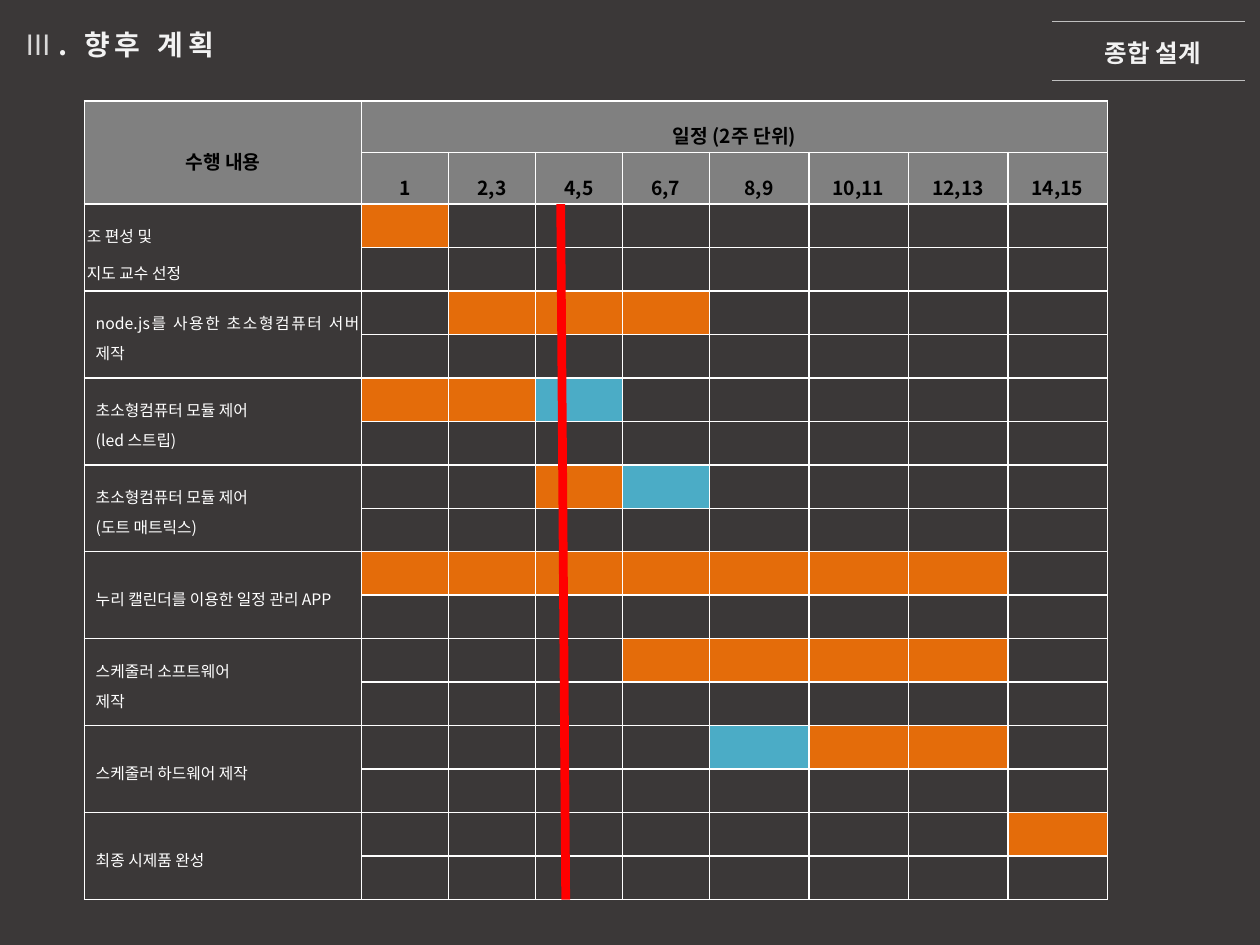
from lxml.etree import SubElement as Sub
from pptx import Presentation
from pptx.dml.color import RGBColor
from pptx.enum.shapes import MSO_CONNECTOR as Conn
from pptx.enum.text import MSO_ANCHOR as Anchor, MSO_AUTO_SIZE as Fit, PP_ALIGN as Align
from pptx.oxml.ns import qn
from pptx.util import Inches, Pt

FONT = "Noto Sans CJK KR"
DONE, PLAN = "E46C0A", "4BACC6"
WEEKS = ["1", "2,3", "4,5", "6,7", "8,9", "10,11", "12,13", "14,15"]
TASKS = [
    ("조 편성 및\n지도 교수 선정", {1: DONE}),
    ("node.js를 사용한 초소형컴퓨터 서버 제작", {2: DONE, 3: DONE, 4: DONE}),
    ("초소형컴퓨터 모듈 제어\n(led 스트립)", {1: DONE, 2: DONE, 3: PLAN}),
    ("초소형컴퓨터 모듈 제어\n(도트 매트릭스)", {3: DONE, 4: PLAN}),
    ("누리 캘린더를 이용한 일정 관리 APP", {col: DONE for col in range(1, 8)}),
    ("스케줄러 소프트웨어\n제작", {col: DONE for col in range(4, 8)}),
    ("스케줄러 하드웨어 제작", {5: PLAN, 6: DONE, 7: DONE}),
    ("최종 시제품 완성", {8: DONE}),
]


def color(code):
    return RGBColor.from_string(code)


def style(run, size, code, bold=False):
    font = run.font
    font.size, font.bold, font.name = Pt(size), bold, FONT
    font.color.rgb = color(code)
    Sub(run._r.get_or_add_rPr(), qn("a:ea"), typeface=FONT)


def add_line(shapes, x1, y1, x2, y2, code, width):
    line = shapes.add_connector(Conn.STRAIGHT, Inches(x1), Inches(y1), Inches(x2), Inches(y2))
    line.line.color.rgb = color(code)
    line.line.width = Pt(width)
    Sub(line._element.spPr, qn("a:effectLst"))


def add_text(shapes, x, y, w, h):
    frame = shapes.add_textbox(Inches(x), Inches(y), Inches(w), Inches(h)).text_frame
    frame.word_wrap = False
    frame.auto_size = Fit.SHAPE_TO_FIT_TEXT
    return frame.paragraphs[0]


def add_title(slide, x, y, w, h):
    para = add_text(slide.shapes, x, y, w, h)
    for text, code, bold in [("Ⅲ", "D9D9D9", False), (". 향후 계획", "F2F2F2", True)]:
        run = para.add_run()
        run.text = text
        style(run, 16, code, bold)
        run._r.get_or_add_rPr().set("spc", "300")


def add_badge(slide, x, y, w, h):
    shapes = slide.shapes.add_group_shape().shapes
    para = add_text(shapes, x + 0.25, y + 0.08, 1.03, 0.34)
    para.text = "종합 설계"
    para.alignment = Align.RIGHT
    style(para.runs[0], 14, "F2F2F2", True)
    for edge in (y, y + h):
        add_line(shapes, x, edge, x + w, edge, "BFBFBF", 0.75)


def frame_cell(cell):
    props = cell._tc.get_or_add_tcPr()
    for side in ("lnL", "lnR", "lnT", "lnB"):
        edge = Sub(props, qn(f"a:{side}"), w=str(Pt(1)))
        Sub(Sub(edge, qn("a:solidFill")), qn("a:srgbClr"), val="FFFFFF")
    cell.fill.background()
    cell.margin_left = cell.margin_right = Inches(0.02)
    cell.margin_top = cell.margin_bottom = Inches(0.02)
    cell.vertical_anchor = Anchor.MIDDLE
    Sub(cell.text_frame.paragraphs[0]._p, qn("a:endParaRPr"), sz="900")


def paint(cell, code):
    cell.fill.solid()
    cell.fill.fore_color.rgb = color(code)


def write(cell, text, align, space, size, code, bold=False, indent=0):
    cell.text_frame.text = text
    for para in cell.text_frame.paragraphs:
        para.alignment = align
        para.line_spacing = space
        if indent:
            para._p.get_or_add_pPr().set("marL", str(Inches(indent)))
        style(para.runs[0], size, code, bold)


def add_plan(slide, x, y, w, h):
    count = 2 + 2 * len(TASKS)
    table = slide.shapes.add_table(count, 9, Inches(x), Inches(y), Inches(w), Inches(h)).table
    table.first_row = table.horz_banding = False
    for col, width in zip(table.columns, [2.2] + [0.69] * 4 + [0.79] * 4):
        col.width = Inches(width)
    for i, row in enumerate(table.rows):
        row.height = Inches(0.41 if i < 2 else (h - 0.82) / (count - 2))
    for cell in table.iter_cells():
        frame_cell(cell)

    table.cell(0, 0).merge(table.cell(1, 0))
    table.cell(0, 1).merge(table.cell(0, 8))
    heads = [(0, 0, "수행 내용"), (0, 1, "일정 (2주 단위)")]
    heads += [(1, i, week) for i, week in enumerate(WEEKS, 1)]
    for row, col, text in heads:
        cell = table.cell(row, col)
        paint(cell, "808080")
        write(cell, text, Align.CENTER, 1.6, 11, "000000", True)

    for i, (text, bars) in enumerate(TASKS):
        row = 2 + 2 * i
        name = table.cell(row, 0)
        name.merge(table.cell(row + 1, 0))
        space, indent = (1.3, 0.07) if i else (1.6, 0)
        write(name, text, Align.JUSTIFY, space, 9, "FFFFFF", indent=indent)
        for col, code in bars.items():
            paint(table.cell(row, col), code)
    add_line(slide.shapes, x + 3.78, y + 0.82, x + 3.82, y + h, "FF0000", 5)


def main():
    deck = Presentation()
    deck.slide_width, deck.slide_height = Inches(10), Inches(7.5)
    slide = deck.slides.add_slide(deck.slide_layouts[6])
    slide.background.fill.solid()
    slide.background.fill.fore_color.rgb = color("3B3838")
    add_title(slide, 0.1, 0.17, 1.87, 0.37)
    add_badge(slide, 8.35, 0.17, 1.53, 0.47)
    add_plan(slide, 0.67, 0.8, 8.12, 6.34)
    deck.save("out.pptx")


if __name__ == "__main__":
    main()
